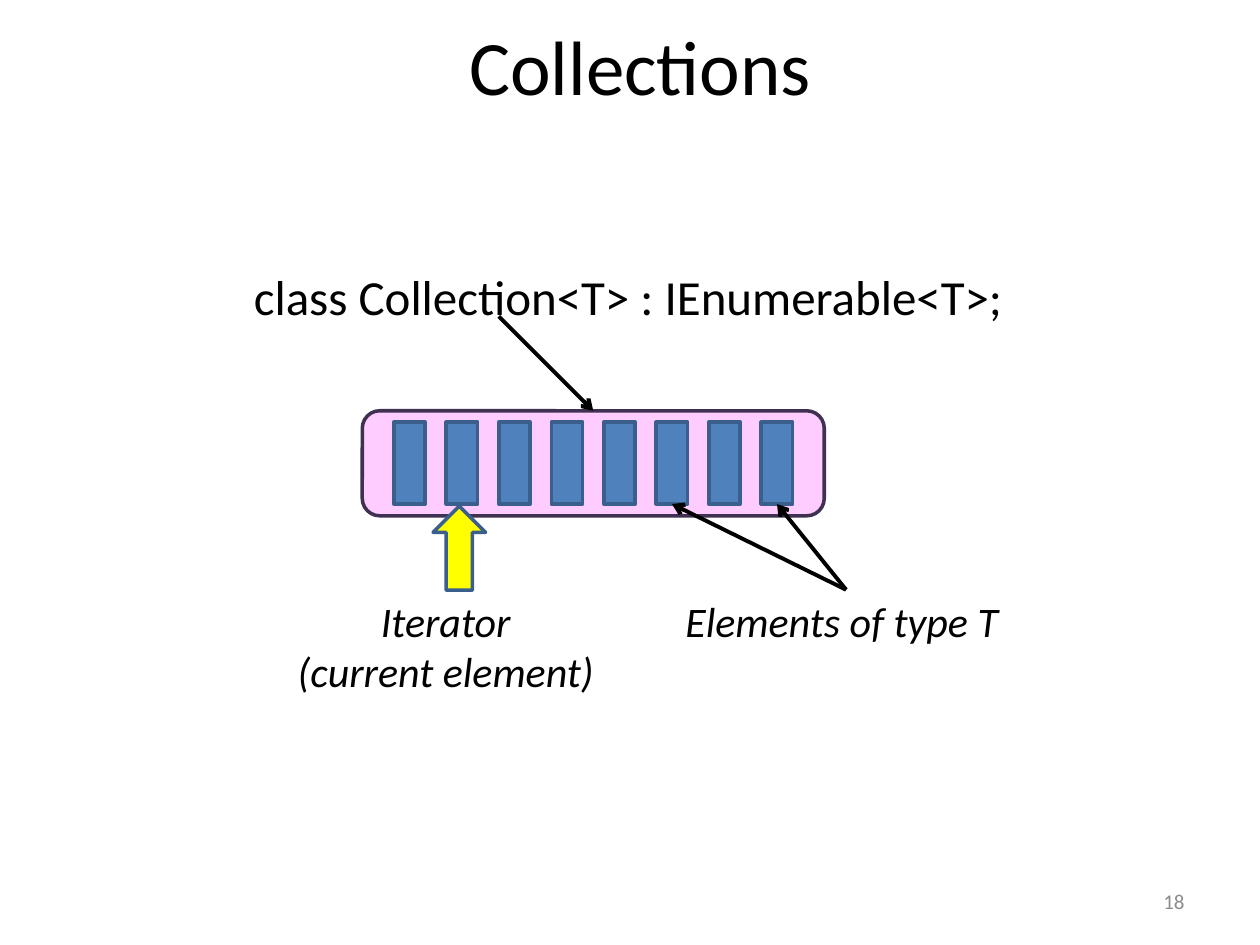
from lxml.etree import SubElement
from pptx import Presentation
from pptx.dml.color import RGBColor
from pptx.enum.shapes import MSO_CONNECTOR, MSO_SHAPE
from pptx.enum.text import MSO_ANCHOR, MSO_AUTO_SIZE, PP_ALIGN
from pptx.oxml.ns import qn
from pptx.util import Pt

COLORS = {
    "text": "000000",
    "page number": "8C8C8C",
    "collection": "FFCCFF",
    "collection line": "403152",
    "element": "4F81BD",
    "shape line": "3A5F8C",
    "iterator": "FFFF00",
}

presentation = Presentation()
presentation.slide_width, presentation.slide_height = Pt(720), Pt(540)
slide = presentation.slides.add_slide(presentation.slide_layouts[6])


def add_text(text, left, top, width, height, size, color="text", align=PP_ALIGN.LEFT,
             anchor=MSO_ANCHOR.TOP, italic=False, wrap=True):
    box = slide.shapes.add_textbox(Pt(left), Pt(top), Pt(width), Pt(height))
    frame = box.text_frame
    frame.word_wrap = wrap
    frame.auto_size = MSO_AUTO_SIZE.NONE
    frame.vertical_anchor = anchor
    frame.text = text
    for paragraph in frame.paragraphs:
        paragraph.alignment = align
        paragraph.font.name = "Calibri"
        paragraph.font.size = Pt(size)
        paragraph.font.italic = italic
        paragraph.font.color.rgb = RGBColor.from_string(COLORS[color])
    return box


def add_filled_shape(shapes, kind, left, top, width, height, fill, line="shape line"):
    shape = shapes.add_shape(kind, Pt(left), Pt(top), Pt(width), Pt(height))
    shape.shadow.inherit = False
    shape.fill.solid()
    shape.fill.fore_color.rgb = RGBColor.from_string(COLORS[fill])
    shape.line.color.rgb = RGBColor.from_string(COLORS[line])
    shape.line.width = Pt(2)
    return shape


add_text("Collections", 42, 0, 648, 74, 44, align=PP_ALIGN.CENTER, anchor=MSO_ANCHOR.MIDDLE)
add_text("18", 516, 500.5, 168, 28.75, 12, color="page number", align=PP_ALIGN.RIGHT,
         anchor=MSO_ANCHOR.MIDDLE)
add_text("class Collection<T> : IEnumerable<T>;", 138, 149, 444, 231, 28)

# Collection with its row of elements
group = slide.shapes.add_group_shape()
collection = add_filled_shape(group.shapes, MSO_SHAPE.ROUNDED_RECTANGLE, 207, 234.75, 264, 60,
                              "collection", "collection line")
elements = [
    add_filled_shape(group.shapes, MSO_SHAPE.RECTANGLE, 225 + 30 * column, 241.2, 18, 46.8,
                     "element")
    for column in range(8)
]

# Iterator and labels
add_filled_shape(slide.shapes, MSO_SHAPE.UP_ARROW, 247.5, 289.25, 30, 48, "iterator")
elements_label = add_text("Elements of type T", 384.5, 337, 198, 36, 24, italic=True, wrap=False)
add_text("Iterator\n(current element)", 160.5, 336.5, 188.5, 65.5, 24, align=PP_ALIGN.CENTER,
         italic=True, wrap=False)

# Arrows: from the class name to the collection, from the label to two elements
for source, target, target_side in [
    (elements_label, elements[5], 2),
    (None, collection, 0),
    (elements_label, elements[7], 2),
]:
    arrow = slide.shapes.add_connector(MSO_CONNECTOR.STRAIGHT, Pt(285), Pt(180.75), Pt(339),
                                       Pt(234.75))
    if source is not None:
        arrow.begin_connect(source, 0)
    arrow.end_connect(target, target_side)
    arrow.line.color.rgb = RGBColor.from_string(COLORS["text"])
    arrow.line.width = Pt(2.25)
    SubElement(arrow.line._get_or_add_ln(), qn("a:tailEnd"), type="arrow")
    SubElement(arrow._element.spPr, qn("a:effectLst"))

presentation.save("out.pptx")
